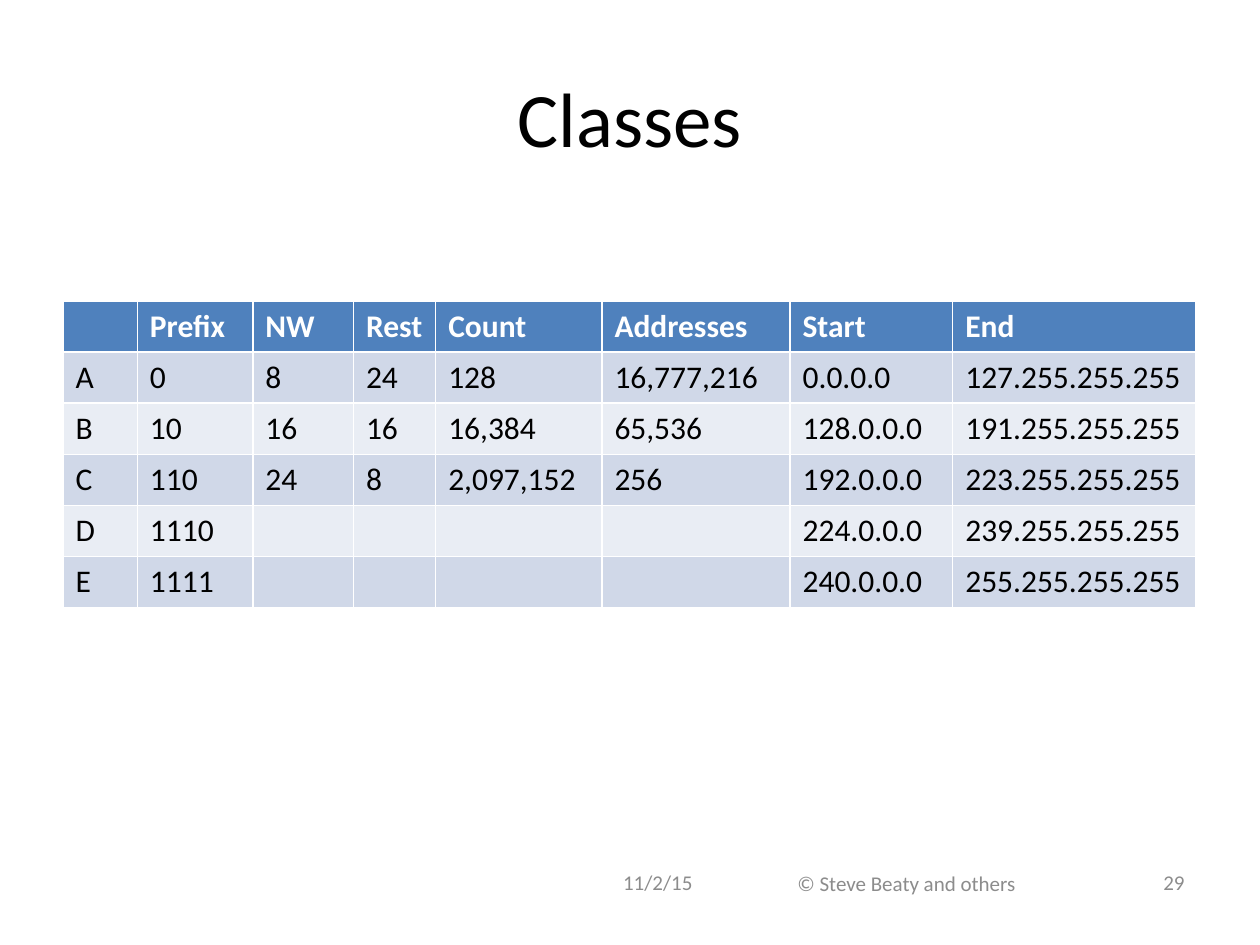
from pptx import Presentation
from pptx.dml.color import RGBColor
from pptx.enum.text import MSO_ANCHOR, PP_ALIGN
from pptx.util import Pt

# Content
TITLE = "Classes"
ROWS = [
    ("", "Prefix", "NW", "Rest", "Count", "Addresses", "Start", "End"),
    ("A", "0", "8", "24", "128", "16,777,216", "0.0.0.0", "127.255.255.255"),
    ("B", "10", "16", "16", "16,384", "65,536", "128.0.0.0", "191.255.255.255"),
    ("C", "110", "24", "8", "2,097,152", "256", "192.0.0.0", "223.255.255.255"),
    ("D", "1110", "", "", "", "", "224.0.0.0", "239.255.255.255"),
    ("E", "1111", "", "", "", "", "240.0.0.0", "255.255.255.255"),
]
WIDTHS = [42.5, 66, 57.5, 47, 95, 107.5, 93, 139]
FOOT = [  # text, left, top, width, alignment
    ("11/2/15", 349, 489.6, 55.5, PP_ALIGN.LEFT),
    ("© Steve Beaty and others", 404, 490.3, 228, PP_ALIGN.CENTER),
    ("29", 632, 489.6, 52, PP_ALIGN.RIGHT),
]
HEAD, BANDS = "4F81BD", ("E9EDF4", "D0D8E8")
LEFT, TOP, ROW_H = 36, 172, 29.2


def paint(target, color):
    target.rgb = RGBColor.from_string(color)


def write(frame, text, size, color, align=PP_ALIGN.LEFT, bold=False):
    frame.text = text
    par = frame.paragraphs[0]
    par.alignment = align
    for run in par.runs:
        run.font.name = "Calibri"
        run.font.size = Pt(size)
        run.font.bold = bold
        paint(run.font.color, color)


deck = Presentation()
deck.slide_width, deck.slide_height = Pt(720), Pt(540)
slide = deck.slides.add_slide(deck.slide_layouts[5])

# Title
title = slide.shapes.title
title.left, title.top, title.width, title.height = Pt(36), Pt(21.6), Pt(648), Pt(90)
write(title.text_frame, TITLE, 44, "000000", PP_ALIGN.CENTER)
title.text_frame.vertical_anchor = MSO_ANCHOR.MIDDLE

# Table of address classes; its default style draws the white rules
table = slide.shapes.add_table(
    len(ROWS), len(WIDTHS), Pt(LEFT), Pt(TOP),
    Pt(sum(WIDTHS)), Pt(ROW_H * len(ROWS))).table
for col, width in zip(table.columns, WIDTHS):
    col.width = Pt(width)
for r, row in enumerate(ROWS):
    table.rows[r].height = Pt(ROW_H)
    top = r == 0
    for c, text in enumerate(row):
        cell = table.cell(r, c)
        cell.fill.solid()
        paint(cell.fill.fore_color, HEAD if top else BANDS[r % 2])
        write(cell.text_frame, text, 18, "FFFFFF" if top else "000000", bold=top)

# Footer
for text, left, top, width, align in FOOT:
    frame = slide.shapes.add_textbox(Pt(left), Pt(top), Pt(width), Pt(28.8)).text_frame
    frame.word_wrap = True
    frame.vertical_anchor = MSO_ANCHOR.MIDDLE
    write(frame, text, 12, "8C8C8C", align)

deck.save("out.pptx")
